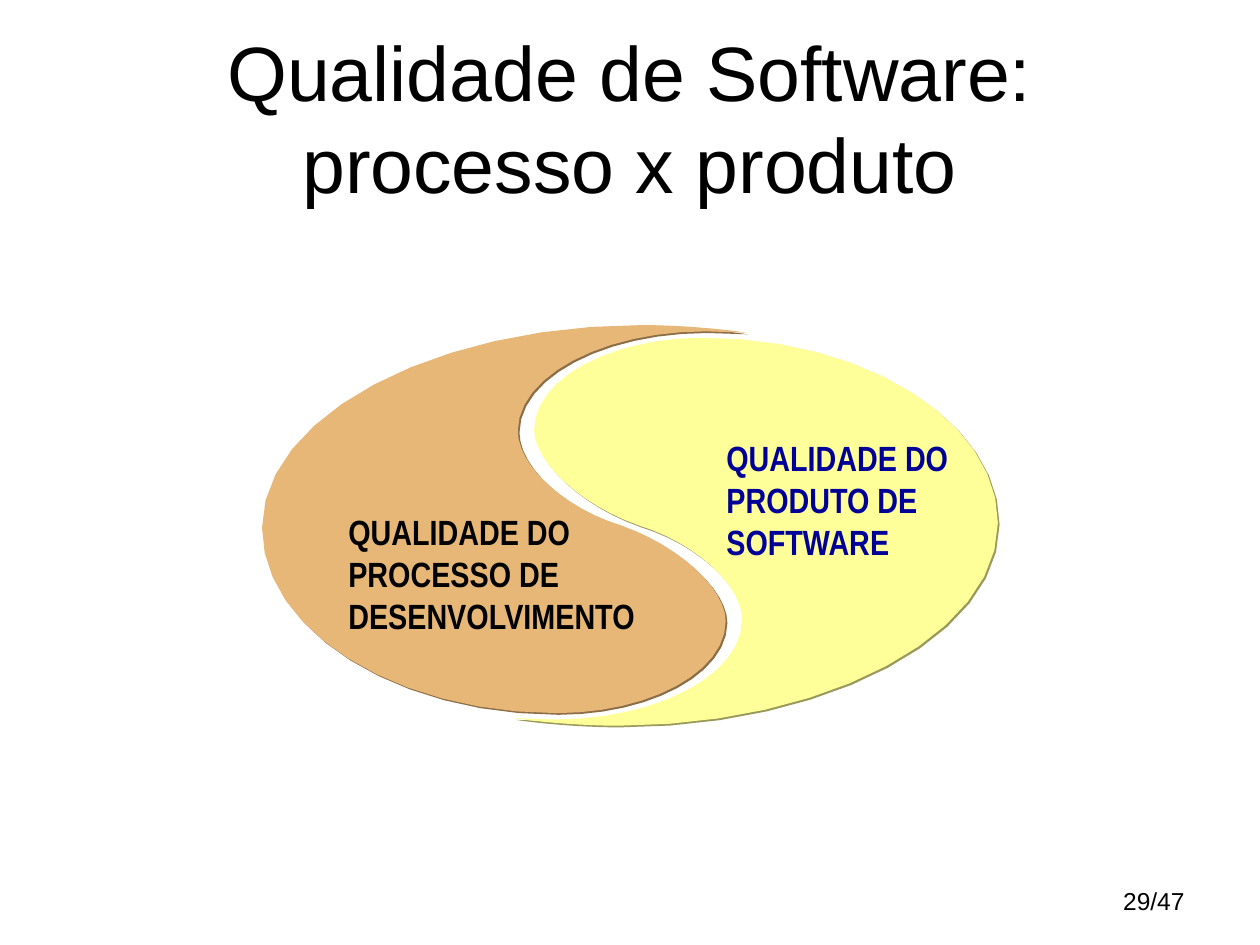
"""Build the slide that sets software process quality beside product quality."""
from dataclasses import dataclass
from typing import NamedTuple

from lxml.etree import SubElement
from pptx import Presentation
from pptx.dml.color import RGBColor
from pptx.enum.text import MSO_ANCHOR, MSO_AUTO_SIZE, PP_ALIGN
from pptx.oxml.ns import qn
from pptx.util import Inches, Pt

COLUMN = ROW = Inches(1 / 12)
SHADOW_DISTANCE = Pt(1.4)
SHADOW_ANGLE = 45 * 60000
ROUNDNESS = 0.55
STEPS_PER_BEND = 12


class Point(NamedTuple):
    """A place on the slide, in inches."""
    x: float
    y: float


class Bend(NamedTuple):
    """A curve that leaves towards a corner and arrives from it."""
    corner: Point
    end: Point


OVAL_CENTER = Point(5, 4.17)
TIP = Point(4.08, 5.7)
OVAL_BOTTOM = Point(4.9, 5.76)
OVAL_RIGHT = Point(7.92, 4.15)
OVAL_TOP = Point(5.58, 2.68)
WAVE_LEFT = Point(4.24, 3.41)
WAVE_MIDDLE = Point(5.07, 4.17)
WAVE_RIGHT = Point(5.89, 4.92)
WAVE_BOTTOM = Point(4.4, 5.71)

PRODUCT_BENDS = (
    Bend(Point(4.45, OVAL_BOTTOM.y), OVAL_BOTTOM),
    Bend(Point(OVAL_RIGHT.x, OVAL_BOTTOM.y), OVAL_RIGHT),
    Bend(Point(OVAL_RIGHT.x, OVAL_TOP.y), OVAL_TOP),
    Bend(Point(WAVE_LEFT.x, OVAL_TOP.y), WAVE_LEFT),
    Bend(Point(WAVE_LEFT.x, 3.88), WAVE_MIDDLE),
    Bend(Point(WAVE_RIGHT.x, 4.42), WAVE_RIGHT),
    Bend(Point(WAVE_RIGHT.x, WAVE_BOTTOM.y), WAVE_BOTTOM),
)


@dataclass(frozen=True)
class Theme:
    """Colours, fonts and type sizes."""
    black: str = "000000"
    navy: str = "000099"
    yellow: str = "FFFF99"
    olive: str = "99995C"
    tan: str = "E7B777"
    brown: str = "8B6E47"
    font: str = "Arial"
    label_font: str = "Arial Narrow"
    title_size: int = 44
    label_size: int = 20
    page_size: int = 14


@dataclass(frozen=True)
class Area:
    """A rectangle in grid columns and rows."""
    column: float
    row: float
    columns: float
    rows: float


@dataclass(frozen=True)
class TextStyle:
    """How one paragraph looks."""
    font: str
    size: int
    color: str
    bold: bool = False
    align: PP_ALIGN = PP_ALIGN.LEFT


@dataclass(frozen=True)
class Half:
    """One half of the oval and its label."""
    turned: bool
    fill: str
    shadow: str
    label: str
    area: Area
    text_color: str


THEME = Theme()
HALVES = (
    Half(False, THEME.yellow, THEME.olive,
         "QUALIDADE DO PRODUTO DE SOFTWARE", Area(68, 41, 27, 13.2), THEME.navy),
    Half(True, THEME.tan, THEME.brown,
         "QUALIDADE DO PROCESSO DE DESENVOLVIMENTO", Area(32, 48, 30, 13.2), THEME.black),
)


def between(start: Point, end: Point, share: float) -> Point:
    """Return the point at a share of the way from start to end."""
    return Point(start.x + (end.x - start.x) * share, start.y + (end.y - start.y) * share)


def bend_points(start: Point, bend: Bend) -> list[Point]:
    """Sample a cubic curve by repeatedly dividing its control lines."""
    controls = [start, between(start, bend.corner, ROUNDNESS),
                between(bend.end, bend.corner, ROUNDNESS), bend.end]
    points = []
    for step in range(1, STEPS_PER_BEND + 1):
        level = controls
        while len(level) > 1:
            level = [between(first, second, step / STEPS_PER_BEND)
                     for first, second in zip(level, level[1:])]
        points.append(level[0])
    return points


def half_outline(turned: bool) -> list[Point]:
    """Trace the product half, or turn it half a circle for the process half."""
    points = [TIP]
    for bend in PRODUCT_BENDS:
        points += bend_points(points[-1], bend)
    if turned:
        points = [between(point, OVAL_CENTER, 2) for point in points]
    return points


def write_text(shape, text: str, style: TextStyle) -> None:
    """Fill a shape with one styled, wrapping paragraph."""
    frame = shape.text_frame
    frame.word_wrap = True
    frame.auto_size = MSO_AUTO_SIZE.NONE
    frame.text = text
    paragraph = frame.paragraphs[0]
    paragraph.alignment = style.align
    font = paragraph.font
    font.name, font.size, font.bold = style.font, Pt(style.size), style.bold
    font.color.rgb = RGBColor.from_string(style.color)


def place(shape, area: Area) -> None:
    """Move and size a shape on the grid."""
    shape.left, shape.top = round(area.column * COLUMN), round(area.row * ROW)
    shape.width, shape.height = round(area.columns * COLUMN), round(area.rows * ROW)


def add_text(slide, text: str, area: Area, style: TextStyle) -> None:
    """Add a text box on the grid."""
    box = slide.shapes.add_textbox(0, 0, 0, 0)
    place(box, area)
    write_text(box, text, style)


def add_shadow(shape, color: str) -> None:
    """Give a shape a hard shadow towards the lower right."""
    effects = SubElement(shape._element.spPr, qn("a:effectLst"))
    shadow = SubElement(effects, qn("a:outerShdw"), blurRad="0", dist=str(SHADOW_DISTANCE),
                        dir=str(SHADOW_ANGLE), algn="ctr", rotWithShape="0")
    SubElement(shadow, qn("a:srgbClr"), val=color)


def add_half(slide, half: Half) -> None:
    """Draw one half of the oval with its label."""
    start, *rest = [(Inches(x), Inches(y)) for x, y in half_outline(half.turned)]
    builder = slide.shapes.build_freeform(*start)
    builder.add_line_segments(rest, close=True)
    shape = builder.convert_to_shape()
    shape.fill.solid()
    shape.fill.fore_color.rgb = RGBColor.from_string(half.fill)
    shape.line.fill.background()
    add_shadow(shape, half.shadow)
    add_text(slide, half.label, half.area,
             TextStyle(THEME.label_font, THEME.label_size, half.text_color, bold=True))


def main() -> None:
    """Build and save the deck."""
    deck = Presentation()
    deck.slide_width, deck.slide_height = Inches(10), Inches(7.5)
    slide = deck.slides.add_slide(deck.slide_layouts[5])
    title = slide.shapes.title
    place(title, Area(6, 3.6, 108, 15))
    write_text(title, "Qualidade de Software: processo x produto",
               TextStyle(THEME.font, THEME.title_size, THEME.black, align=PP_ALIGN.CENTER))
    title.text_frame.vertical_anchor = MSO_ANCHOR.MIDDLE
    for half in HALVES:
        add_half(slide, half)
    add_text(slide, "29/47", Area(86, 83.8, 28, 6.2),
             TextStyle(THEME.font, THEME.page_size, THEME.black, align=PP_ALIGN.RIGHT))
    deck.save("out.pptx")


if __name__ == "__main__":
    main()
